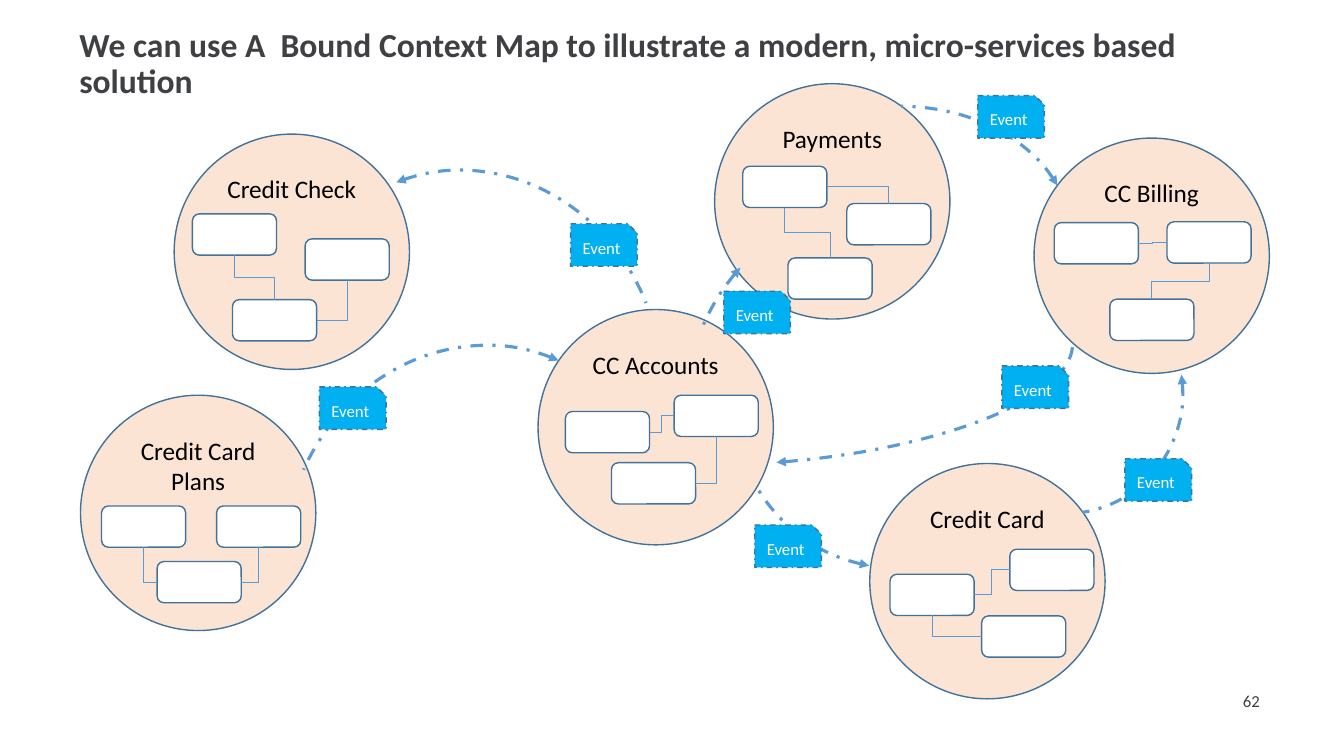
from pptx import Presentation
from pptx import util as u
from pptx.dml.color import RGBColor
from pptx.enum import dml, shapes, text
from pptx.oxml import ns
from lxml import etree

Cm, Pt = u.Cm, u.Pt
KIND = shapes.MSO_SHAPE

COLORS = {
    "title": "3E4043", "label": "000000", "white": "FFFFFF",
    "context": "FBE4D4", "outline": "42719B", "event": "00B0F0", "link": "5B9BD5",
}
CONTEXT_SIZE = 5.93
CARD_SIZE = (2.12, 1.04)
EVENT_SIZE = (1.68, 1.07)

# Connection sites of a rounded rectangle
TOP, LEFT, BOTTOM, RIGHT = range(4)

# Name, corner, cards relative to the corner, links (card, side, card, side)
CONTEXTS = [
    ("Credit Card Plans", (2.03, 9.96), [(0.53, 2.79), (1.93, 4.19), (3.43, 2.79)],
     [(1, RIGHT, 2, BOTTOM), (1, LEFT, 0, BOTTOM)]),
    ("CC Accounts", (13.56, 7.8), [(0.69, 2.57), (1.85, 3.86), (3.43, 2.16)],
     [(1, RIGHT, 2, BOTTOM), (0, RIGHT, 2, LEFT)]),
    ("Credit Card", (21.92, 11.68), [(3.53, 2.16), (0.51, 2.79), (2.82, 3.84)],
     [(2, LEFT, 1, BOTTOM), (0, LEFT, 1, RIGHT)]),
    ("CC Billing", (26.06, 3.48), [(3.35, 2.11), (0.51, 2.13), (1.91, 4.06)],
     [(2, TOP, 0, BOTTOM), (0, LEFT, 1, RIGHT)]),
    ("Payments", (18.01, 2.11), [(0.71, 2.08), (1.85, 4.39), (3.33, 3.02)],
     [(0, RIGHT, 2, TOP), (0, BOTTOM, 1, TOP)]),
    ("Credit Check", (4.39, 3.38), [(0.46, 2.01), (1.47, 4.17), (3.3, 2.64)],
     [(1, RIGHT, 2, BOTTOM), (0, BOTTOM, 1, TOP)]),
]

# Box, rotation, mirrored, start and end angle, corner of the event on the flow
FLOWS = [
    ((7.24, 8.64, 9.5, 10.26), 24, True, (270, 0), (8.05, 9.75)),
    ((7.11, 4.24, 9.5, 10.26), 338.6, False, (270, 0), (14.38, 5.64)),
    ((17.07, 2.74, 10.06, 7.92), 166.4, True, (10.43, 67.75), (24.64, 2.41)),
    ((11.71, 6.76, 15.34, 4.9), 175.6, True, (270, 359.33), (25.25, 9.22)),
    ((18.52, 6.27, 8.23, 8.05), 190.5, False, (270, 322.02), (19.02, 13.23)),
    ((23.77, 6.91, 6.1, 5.97), 81.3, False, (270, 0), (28.35, 11.56)),
    ((17.32, 4.98, 9.5, 10.26), 24, True, (339.4, 0), (18.24, 7.34)),
]


def rgb(name):
    return RGBColor.from_string(COLORS[name])


def apply(target, formats):
    for name, value in formats.items():
        setattr(target, name, value)


def write(shape, words, size, color, align, anchor, bold=False, spacing=1.0):
    frame = shape.text_frame
    apply(frame, {
        "word_wrap": True, "vertical_anchor": anchor,
        "margin_left": Cm(0.25), "margin_right": Cm(0.25),
        "margin_top": Cm(0.13), "margin_bottom": Cm(0.13),
    })
    para = frame.paragraphs[0]
    apply(para, {"alignment": align, "line_spacing": spacing})
    span = para.add_run()
    span.text = words
    apply(span.font, {"name": "Calibri", "size": Pt(size), "bold": bold})
    span.font.color.rgb = rgb(color)


def add_text(page, box, *style, **extra):
    write(page.shapes.add_textbox(*map(Cm, box)), *style, **extra)


def stroke(shape, color, width, dashed=False):
    shape.line.color.rgb = rgb(color)
    shape.line.width = Pt(width)
    if dashed:
        shape.line.dash_style = dml.MSO_LINE.DASH_DOT


def add_figure(page, kind, box, fill, dashed=False):
    shape = page.shapes.add_shape(kind, *map(Cm, box))
    shape.shadow.inherit = False
    shape.fill.solid()
    shape.fill.fore_color.rgb = rgb(fill)
    stroke(shape, "outline", 1, dashed)
    return shape


def add_link(page, first, first_side, second, second_side):
    """Join two cards with a line whose bends follow from the sides it leaves and meets."""
    link = page.shapes.add_connector(shapes.MSO_CONNECTOR.ELBOW, 0, 0, 0, 0)
    link.begin_connect(first, first_side)
    link.end_connect(second, second_side)
    stroke(link, "link", 0.75)
    props = link._element.spPr
    etree.SubElement(props, ns.qn("a:effectLst"))
    upright = [side in (TOP, BOTTOM) for side in (first_side, second_side)]
    if all(upright):
        middle_x, middle_y = link.left + link.width // 2, link.top + link.height // 2
        width, height = link.height, link.width
        apply(link, {
            "left": middle_x - width // 2, "top": middle_y - height // 2,
            "width": width, "height": height,
        })
        frame = props.find(ns.qn("a:xfrm"))
        apply(frame, {"rot": 90, "flipH": frame.flipV, "flipV": not frame.flipH})
    elif any(upright):
        props.find(ns.qn("a:prstGeom")).set("prst", "bentConnector2")


def add_context(page, name, corner, places, links):
    left, top = corner
    circle = add_figure(page, KIND.OVAL, (left, top, CONTEXT_SIZE, CONTEXT_SIZE), "context")
    write(circle, name, 18, "label", text.PP_ALIGN.CENTER, text.MSO_ANCHOR.TOP)
    cards = [
        add_figure(page, KIND.ROUNDED_RECTANGLE, (left + x, top + y, *CARD_SIZE), "white")
        for x, y in places
    ]
    for first, first_side, second, second_side in links:
        add_link(page, cards[first], first_side, cards[second], second_side)


def add_flow(page, box, rotation, mirrored, angles, event_corner):
    arc = page.shapes.add_shape(KIND.ARC, *map(Cm, box))
    arc.shadow.inherit = False
    arc.fill.background()
    arc.rotation = rotation
    for index, angle in enumerate(angles):
        arc.adjustments[index] = angle * 0.6  # 60000 units a degree, scaled by 100000
    stroke(arc, "link", 2.25, dashed=True)
    props = arc._element.spPr
    props.find(ns.qn("a:xfrm")).flipH = mirrored
    etree.SubElement(props.find(ns.qn("a:ln")), ns.qn("a:headEnd"), type="triangle")

    event = add_figure(page, KIND.SNIP_1_RECTANGLE, (*event_corner, *EVENT_SIZE), "event", dashed=True)
    event.adjustments[0] = 0.22
    write(event, "Event", 12, "white", text.PP_ALIGN.CENTER, text.MSO_ANCHOR.MIDDLE)


def main():
    deck = Presentation()
    apply(deck, {"slide_width": Cm(33.87), "slide_height": Cm(19.05)})
    page = deck.slides.add_slide(deck.slide_layouts[6])
    add_text(page, (1.75, 0.58, 30.25, 2.11),
             "We can use A  Bound Context Map to illustrate a modern, micro-services based solution",
             24, "title", text.PP_ALIGN.LEFT, text.MSO_ANCHOR.TOP, bold=True, spacing=0.9)
    add_text(page, (24.38, 17.15, 7.62, 1.02), "62", 12, "title",
             text.PP_ALIGN.RIGHT, text.MSO_ANCHOR.MIDDLE)
    for context in CONTEXTS:
        add_context(page, *context)
    for flow in FLOWS:
        add_flow(page, *flow)
    deck.save("out.pptx")


if __name__ == "__main__":
    main()
